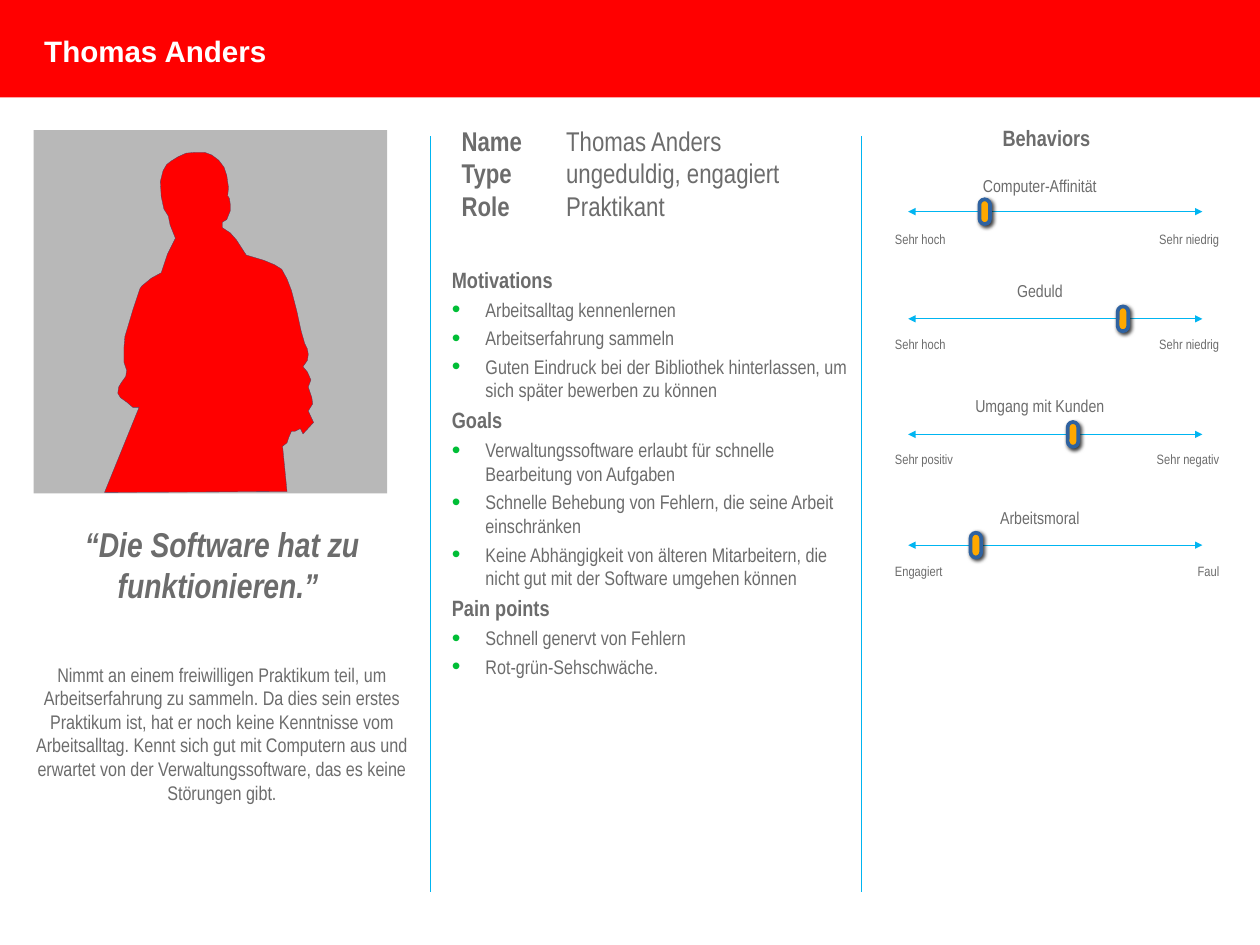
from lxml import etree
from pptx import Presentation, util as u
from pptx.dml.color import RGBColor
from pptx.enum import shapes, text
from pptx.oxml import parse_xml
from pptx.oxml.ns import nsdecls, qn

WIDTH, HEIGHT = u.Inches(14.22), u.Inches(10.67)
RED, GREY, BLUE, GREEN = "FF0000", "6C6C6C", "00B5F1", "00BE36"
NARROW = "Arial Narrow"
LEFT, CENTER, RIGHT = (text.PP_ALIGN.LEFT, text.PP_ALIGN.CENTER,
                       text.PP_ALIGN.RIGHT)
SCALE_START, SCALE_END = 72.08, 95.43

FACTS = [("Name", "Thomas Anders"), ("Type", "ungeduldig, engagiert"),
         ("Role", "Praktikant")]

SECTIONS = [
    ("Motivations", [
        "Arbeitsalltag kennenlernen",
        "Arbeitserfahrung sammeln",
        "Guten Eindruck bei der Bibliothek hinterlassen, um sich später "
        "bewerben zu können"]),
    ("Goals", [
        "Verwaltungssoftware erlaubt für schnelle Bearbeitung von Aufgaben",
        "Schnelle Behebung von Fehlern, die seine Arbeit einschränken",
        "Keine Abhängigkeit von älteren Mitarbeitern, die nicht gut mit der "
        "Software umgehen können"]),
    ("Pain points", ["Schnell genervt von Fehlern", "Rot-grün-Sehschwäche."]),
]

# Title, low end, high end, title row, line row, marker position on the scale
BEHAVIORS = [
    ("Computer-Affinität", "Sehr hoch", "Sehr niedrig", 18.56, 22.4, 0.26),
    ("Geduld", "Sehr hoch", "Sehr niedrig", 29.62, 33.74, 0.73),
    ("Umgang mit Kunden", "Sehr positiv", "Sehr negativ", 41.8, 45.97, 0.56),
    ("Arbeitsmoral", "Engagiert", "Faul", 53.7, 57.69, 0.23),
]

BIO = ("Nimmt an einem freiwilligen Praktikum teil, um Arbeitserfahrung zu "
       "sammeln. Da dies sein erstes Praktikum ist, hat er noch keine "
       "Kenntnisse vom Arbeitsalltag. Kennt sich gut mit Computern aus und "
       "erwartet von der Verwaltungssoftware, das es keine Störungen gibt.")

# Outline of the figure in hundredths of an inch
FIGURE = [
    (118, 556), (157, 460), (150, 460), (143, 454), (136, 449), (133, 444),
    (134, 437), (137, 432), (142, 425), (143, 418), (140, 409), (140, 392),
    (141, 380), (150, 350), (158, 326), (160, 323), (171, 314), (182, 308),
    (189, 287), (198, 269), (192, 254), (190, 244), (185, 236), (182, 222),
    (181, 205), (184, 193), (188, 186), (193, 182), (201, 177), (210, 173),
    (220, 172), (231, 172), (239, 175), (247, 181), (253, 189), (256, 198),
    (258, 212), (257, 221), (259, 224), (260, 231), (260, 238), (256, 248),
    (251, 251), (251, 257), (260, 263), (267, 271), (278, 288), (298, 294),
    (310, 299), (318, 304), (324, 315), (329, 328), (335, 351), (340, 374),
    (344, 388), (347, 394), (348, 400), (347, 407), (342, 414), (347, 420),
    (351, 429), (348, 437), (352, 449), (353, 456), (348, 464), (354, 477),
    (342, 490), (339, 484), (333, 487), (329, 487), (326, 494), (324, 500),
    (319, 504), (324, 555),
]


def rgb(code):
    """Turn a hex string into a colour."""
    return RGBColor.from_string(code)


def px(share):
    """Length from a percentage of the slide width."""
    return round(WIDTH * share / 100)


def py(share):
    """Length from a percentage of the slide height."""
    return round(HEIGHT * share / 100)


def place(x, y, w, h):
    """Position and size from percentages of the slide."""
    return px(x), py(y), px(w), py(h)


def paint(sp, fill, line=None, width=1):
    """Set fill and outline and remove the theme shadow."""
    sp.shadow.inherit = False
    sp.fill.solid()
    sp.fill.fore_color.rgb = rgb(fill)
    if line:
        sp.line.color.rgb = rgb(line)
        sp.line.width = u.Pt(width)
    else:
        sp.line.fill.background()


def add_block(slide, area, fill):
    """Add a plain rectangle."""
    sp = slide.shapes.add_shape(shapes.MSO_SHAPE.RECTANGLE, *place(*area))
    paint(sp, fill)


def add_figure(slide):
    """Add the plain outline of a standing person."""
    builder = slide.shapes.build_freeform(*FIGURE[0], scale=u.Inches(0.01))
    builder.add_line_segments(FIGURE[1:])
    paint(builder.convert_to_shape(), RED, "524265", 0.25)


def add_box(slide, area, wrap=True):
    """Add an empty text box without margins and return its text frame."""
    tf = slide.shapes.add_textbox(*place(*area)).text_frame
    settings = dict(margin_left=0, margin_right=0, margin_top=0,
                    margin_bottom=0, word_wrap=wrap,
                    vertical_anchor=text.MSO_ANCHOR.MIDDLE,
                    auto_size=text.MSO_AUTO_SIZE.SHAPE_TO_FIT_TEXT)
    for name, value in settings.items():
        setattr(tf, name, value)
    return tf


def next_paragraph(tf):
    """Return the first paragraph while it is empty, then a new one."""
    return tf.paragraphs[0] if not tf.text else tf.add_paragraph()


def add_run(p, words, size, color=GREY, **font):
    """Add a run of text with its font settings."""
    r = p.add_run()
    r.text = words
    r.font.color.rgb = rgb(color)
    for name, value in {"size": u.Pt(size), "name": NARROW, **font}.items():
        setattr(r.font, name, value)


def add_label(slide, area, words, size, align=CENTER, wrap=True, **font):
    """Add a text box with one paragraph and return that paragraph."""
    p = add_box(slide, area, wrap).paragraphs[0]
    p.alignment = align
    add_run(p, words, size, **font)
    return p


def indent(p, left, first):
    """Set left and first-line indents in inches."""
    pPr = p._p.get_or_add_pPr()
    pPr.set("marL", str(u.Inches(left)))
    pPr.set("indent", str(u.Inches(first)))
    return pPr


def add_facts(slide, area):
    """Add bold keys with values aligned at a tab stop."""
    tf = add_box(slide, area)
    for key, value in FACTS:
        p = next_paragraph(tf)
        add_run(p, key + "\t", 22, bold=True)
        add_run(p, value, 22, bold=False)
        tabs = etree.SubElement(p._p.get_or_add_pPr(), qn("a:tabLst"))
        for stop in (1.18, 1.49):
            etree.SubElement(tabs, qn("a:tab"), pos=str(u.Inches(stop)),
                             algn="l")


def add_sections(slide, area):
    """Add headings, each followed by its bulleted list."""
    tf = add_box(slide, area)
    for heading, items in SECTIONS:
        p = next_paragraph(tf)
        p.space_before = u.Pt(11 if heading == SECTIONS[0][0] else 4)
        indent(p, 0.6, -0.6)
        add_run(p, heading, 18, bold=True)
        for item in items:
            p = next_paragraph(tf)
            p.space_before = u.Pt(4)
            add_run(p, item, 16)
            pPr = indent(p, 0.38, -0.38)
            color = etree.SubElement(pPr, qn("a:buClr"))
            etree.SubElement(color, qn("a:srgbClr"), val=GREEN)
            etree.SubElement(pPr, qn("a:buSzPct"), val="125000")
            etree.SubElement(pPr, qn("a:buFont"), typeface="Arial")
            etree.SubElement(pPr, qn("a:buChar"), char="•")


def add_line(slide, x1, y1, x2, y2, arrows=False):
    """Add a thin blue line, with arrowheads at both ends if wanted."""
    line = slide.shapes.add_connector(shapes.MSO_CONNECTOR.STRAIGHT,
                                      px(x1), py(y1), px(x2), py(y2))
    line.line.color.rgb = rgb(BLUE)
    line.line.width = u.Pt(1)
    spPr = line._element.spPr
    if arrows:
        for end in ("a:headEnd", "a:tailEnd"):
            etree.SubElement(spPr.find(qn("a:ln")), qn(end), type="triangle")
    etree.SubElement(spPr, qn("a:effectLst"))


def add_marker(slide, x, y):
    """Add a shadowed slider knob centred on a point."""
    w, h = 0.84, 2.62
    sp = slide.shapes.add_shape(shapes.MSO_SHAPE.ROUNDED_RECTANGLE,
                                *place(x - w / 2, y - h / 2, w, h))
    sp.adjustments[0] = 0.5
    paint(sp, "FFA800", "2F62A0", 3)
    sp._element.spPr.find(qn("a:effectLst")).append(parse_xml(
        f'<a:outerShdw {nsdecls("a")} blurRad="{u.Pt(3)}" dist="{u.Pt(2)}" '
        'dir="2700000"><a:srgbClr val="000000"><a:alpha val="75000"/>'
        '</a:srgbClr></a:outerShdw>'))


def add_scale(slide, title, low, high, title_y, line_y, share):
    """Add a titled scale with both end labels and its marker."""
    ends_y = title_y + 5.88
    add_label(slide, (70.82, title_y, 23.42, 2.25), title, 14)
    add_label(slide, (71.03, ends_y, 10.97, 1.78), low, 11, LEFT)
    add_label(slide, (84.67, ends_y, 12.1, 1.78), high, 11, RIGHT)
    add_line(slide, SCALE_START, line_y, SCALE_END, line_y, arrows=True)
    add_marker(slide, SCALE_START + share * (SCALE_END - SCALE_START), line_y)


def main():
    """Build the persona slide."""
    prs = Presentation()
    prs.slide_width, prs.slide_height = WIDTH, HEIGHT
    slide = prs.slides.add_slide(prs.slide_layouts[6])
    add_block(slide, (2.67, 13.78, 28.06, 38.43), "B8B8B8")
    add_figure(slide)
    add_label(slide, (2.53, 70.01, 30.17, 15.18), BIO, 16)
    add_sections(slide, (35.86, 27.93, 31.86, 44.05))
    add_facts(slide, (36.64, 13.12, 34.32, 10.4))
    add_label(slide, (2.53, 55.3, 30.17, 8.81),
              "“Die Software hat zu funktionieren.” ", 28,
              bold=True, italic=True)
    add_label(slide, (70.89, 13.12, 24.33, 2.81), "Behaviors", 18, bold=True)
    for column in (1, 2):
        add_line(slide, 34.18 * column, 14.43, 34.18 * column, 94.38)
    for behavior in BEHAVIORS:
        add_scale(slide, *behavior)
    add_block(slide, (-1.27, -1.78, 101.69, 12.09), RED)
    p = add_label(slide, (3.23, 3.47, 18.5, 3.75), "Thomas Anders", 24, LEFT,
                  wrap=False, color="FFFFFF", name="Arial", bold=True)
    indent(p, 0.04, 0)
    prs.save("out.pptx")


main()
